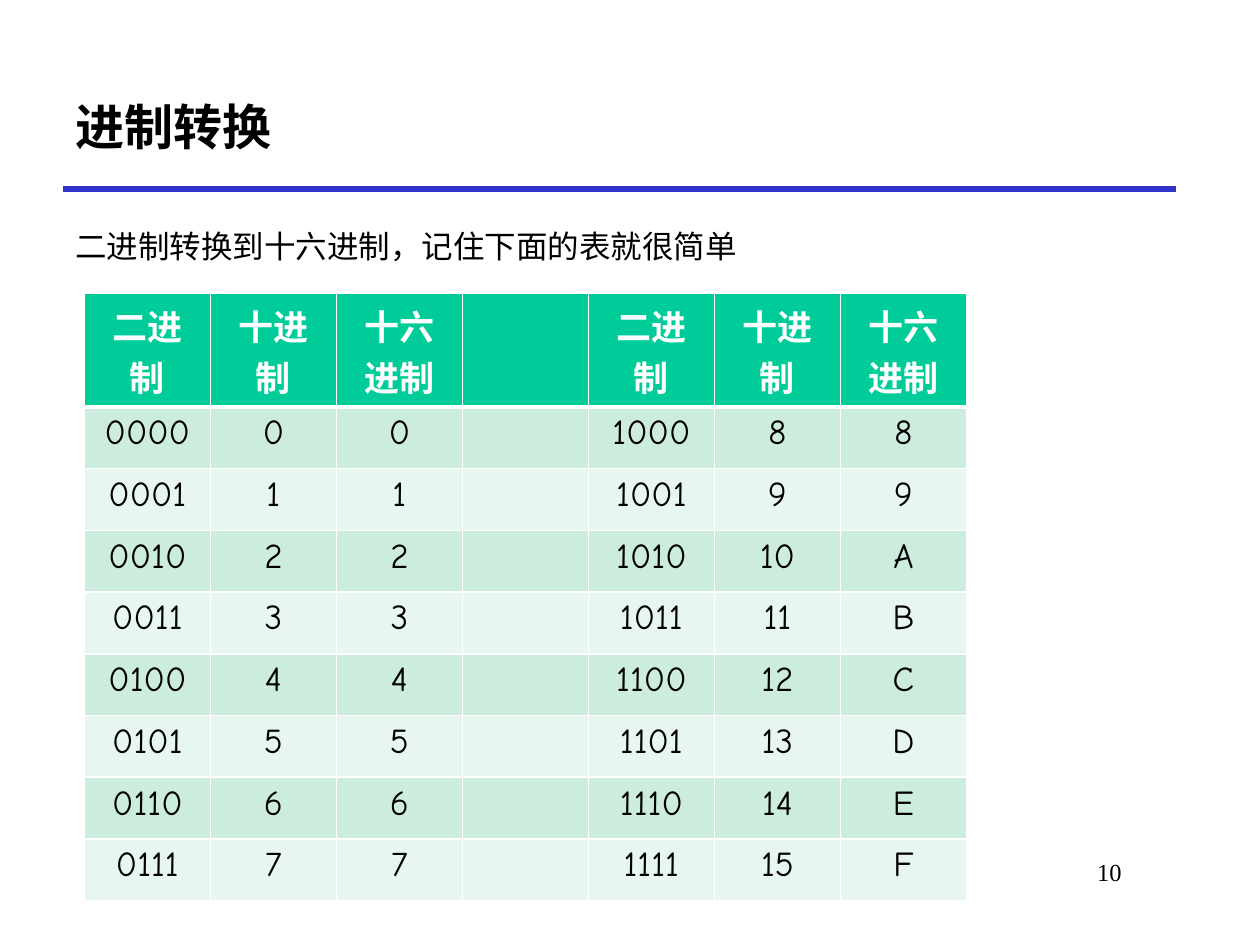
"""Build the slide with the binary, decimal and hexadecimal table."""
from pptx import Presentation
from pptx.dml.color import RGBColor
from pptx.enum.shapes import MSO_CONNECTOR
from pptx.enum.text import MSO_ANCHOR, PP_ALIGN
from pptx.oxml.ns import qn
from pptx.util import Inches, Pt
from lxml.etree import SubElement

BLACK = RGBColor(0x00, 0x00, 0x00)
WHITE = RGBColor(0xFF, 0xFF, 0xFF)
BLUE = RGBColor(0x33, 0x33, 0xCC)
GREEN = RGBColor(0x00, 0xCC, 0x99)
BANDS = [RGBColor(0xE7, 0xF6, 0xEF), RGBColor(0xCC, 0xEC, 0xDE)]

FORMS = {
    "title": {"name": "Comic Neue", "size": Pt(28), "bold": True},
    "body": {"name": "Comic Neue", "size": Pt(18), "bold": False},
    "head": {"name": "Comic Neue", "size": Pt(20), "bold": True},
    "cell": {"name": "Comic Neue", "size": Pt(20), "bold": False},
    "page": {"name": "Times New Roman", "size": Pt(14), "bold": False},
}


def write(frame, text, form, color=BLACK, align=PP_ALIGN.LEFT):
    """Write one formatted paragraph into a text frame."""
    frame.word_wrap = True
    para = frame.paragraphs[0]
    para.alignment = align
    run = para.add_run()
    run.text = text
    for key, value in FORMS[form].items():
        setattr(run.font, key, value)
    run.font.color.rgb = color
    return para


def edge(cell, widths):
    """Give a cell white borders with the given widths in points."""
    props = cell._tc.get_or_add_tcPr()
    for side, width in widths.items():
        line = SubElement(props, qn(f"a:ln{side}"), w=str(Pt(width)))
        fill = SubElement(line, qn("a:solidFill"))
        SubElement(fill, qn("a:srgbClr"), val=str(WHITE))


deck = Presentation()
deck.slide_width, deck.slide_height = Inches(10), Inches(7.5)
slide = deck.slides.add_slide(deck.slide_layouts[5])
shapes = slide.shapes

rule = shapes.add_connector(
    MSO_CONNECTOR.STRAIGHT, Inches(0.5), Inches(1.5), Inches(9.33), Inches(1.5)
)
rule.line.color.rgb = BLUE
rule.line.width = Pt(3)
SubElement(rule._element.spPr, qn("a:effectLst"))

title = shapes.title
place = {"left": 0.5, "top": 0.5, "width": 8.83, "height": 1}
for key, value in place.items():
    setattr(title, key, Inches(value))
title.text_frame.vertical_anchor = MSO_ANCHOR.MIDDLE
write(title.text_frame, "进制转换", "title")

body = shapes.add_textbox(Inches(0.5), Inches(1.75), Inches(9.08), Inches(0.5))
para = write(body.text_frame, "二进制转换到十六进制，记住下面的表就很简单", "body")
para.space_before = Pt(3.6)

page = shapes.add_textbox(Inches(7.58), Inches(6.75), Inches(1.42), Inches(0.5))
write(page.text_frame, "10", "page", align=PP_ALIGN.RIGHT)

heads = ["二进制", "十进制", "十六进制"]
rows = [heads + [""] + heads]
for low in range(8):
    high = low + 8
    rows.append([f"{low:04b}", f"{low}", f"{low:X}", "",
                 f"{high:04b}", f"{high}", f"{high:X}"])

table = shapes.add_table(
    len(rows), len(rows[0]), Inches(0.67), Inches(2.33), Inches(7), Inches(4.82)
).table
for r, row in enumerate(rows):
    table.rows[r].height = Inches(0.49 if r else 0.9)
    form, color = ("cell", BLACK) if r else ("head", WHITE)
    widths = {"L": 1, "R": 1, "T": 3 if r == 1 else 1, "B": 1 if r else 3}
    for c, text in enumerate(row):
        cell = table.cell(r, c)
        edge(cell, widths)
        cell.fill.solid()
        cell.fill.fore_color.rgb = BANDS[r % 2] if r else GREEN
        if text:
            write(cell.text_frame, text, form, color, PP_ALIGN.CENTER)

deck.save("out.pptx")
